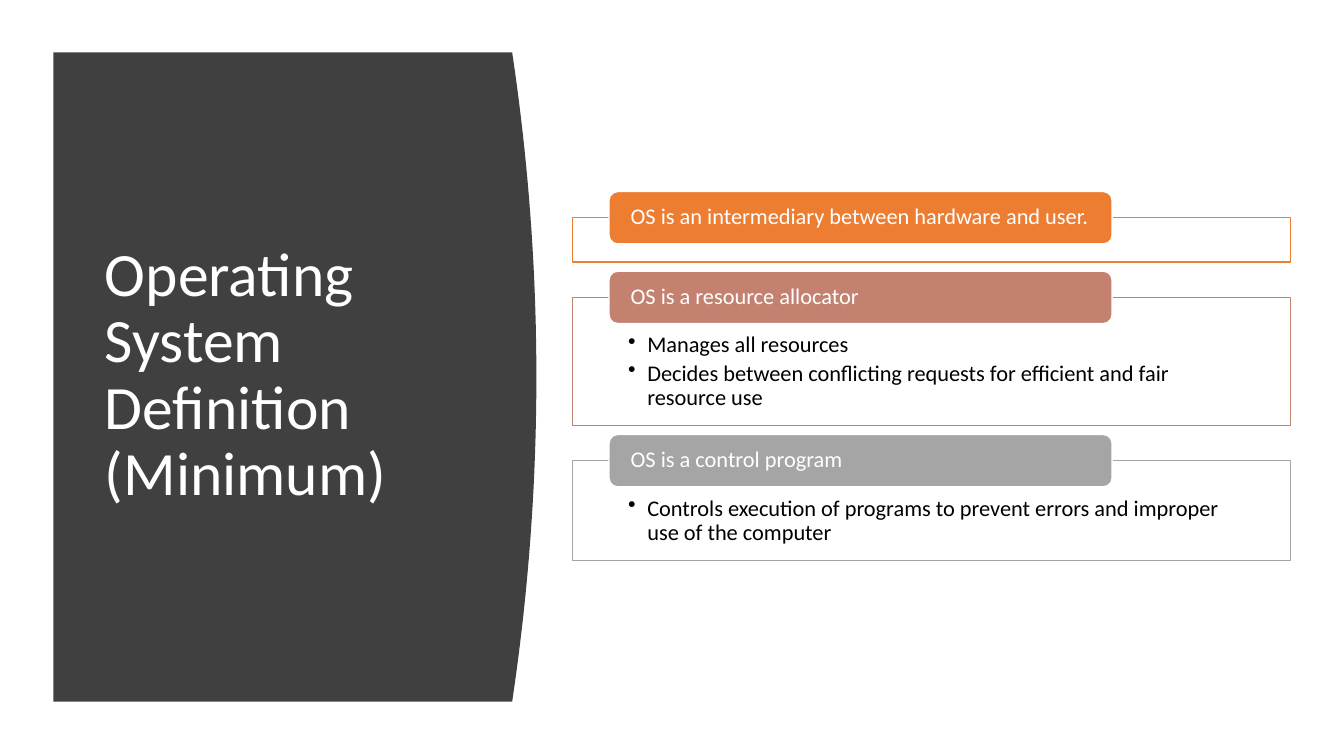
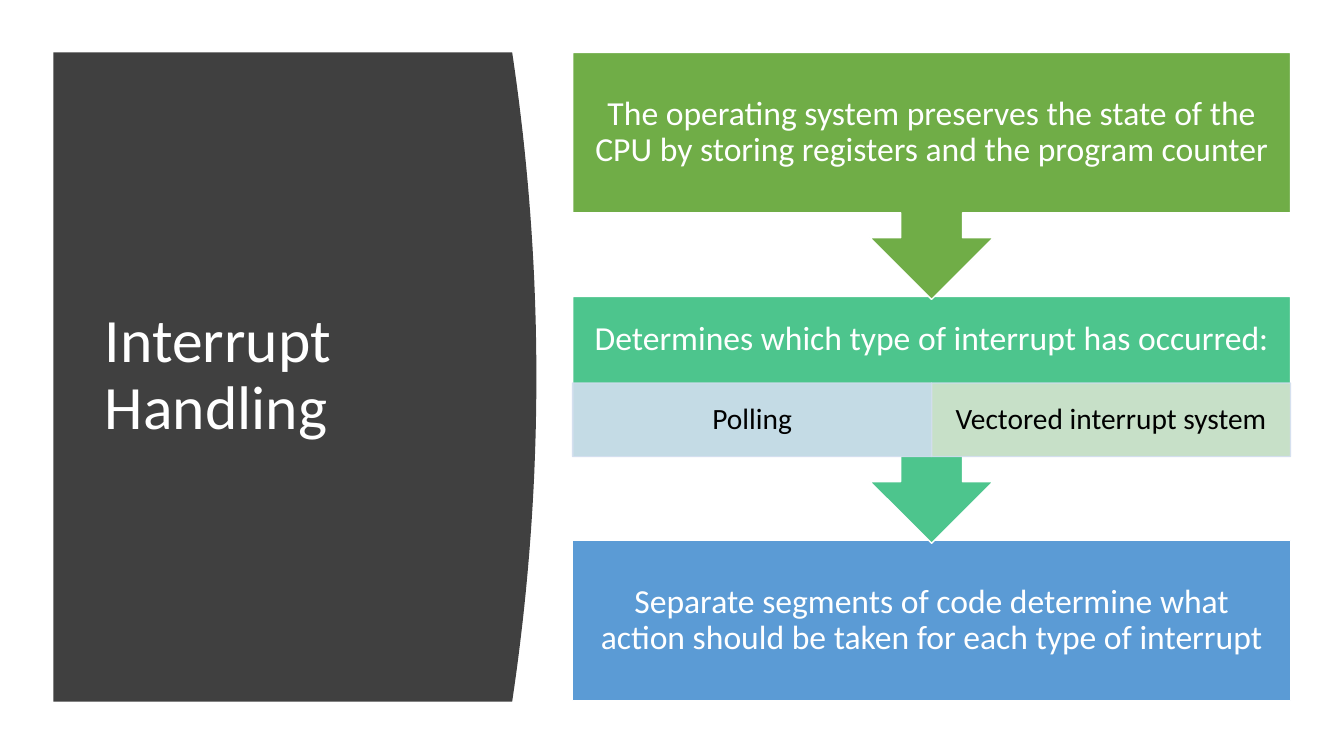
"""Build two operating system slides with a curved title band."""
from lxml.etree import SubElement
from pptx import Presentation
from pptx.dml.color import RGBColor
from pptx.enum.shapes import MSO_SHAPE
from pptx.enum.text import MSO_ANCHOR, MSO_AUTO_SIZE, PP_ALIGN
from pptx.oxml.ns import qn
from pptx.util import Inches, Pt

FONT = "Calibri"
HEX = {
    "white": "FFFFFF", "black": "000000", "band": "404040",
    "orange": "ED7D31", "rose": "C48170", "gray": "A5A5A5",
    "green": "70AD47", "mint": "4DC58D", "blue": "5B9BD5",
    "ice": "D2DEEF", "sage": "D5E3CF",
}
COLOR = {name: RGBColor.from_string(code) for name, code in HEX.items()}
TOP, TALL = 0.52, 6.44
LEFT, WIDE = 5.68, 7.12

deck = Presentation()
deck.slide_width, deck.slide_height = Inches(13.33), Inches(7.5)


def start(text):
    """Add a slide with the curved band and its title."""
    slide = deck.slides.add_slide(deck.slide_layouts[5])
    steps = 40
    curve = []
    for i in range(steps + 1):
        t = 2 * i / steps - 1
        curve.append((Inches(5.32 - 0.24 * t * t), Inches(TOP + TALL * i / steps)))
    pen = slide.shapes.build_freeform(Inches(0.53), Inches(TOP))
    pen.add_line_segments(curve + [(Inches(0.53), Inches(TOP + TALL))])
    band = pen.convert_to_shape()
    band.shadow.inherit = False
    band.fill.solid()
    band.fill.fore_color.rgb = COLOR["band"]
    band.line.fill.background()

    title = slide.shapes.title
    title._element.addprevious(band._element)
    title.left, title.top = Inches(0.94), Inches(1.11)
    title.width, title.height = Inches(3.74), Inches(5.24)
    frame = title.text_frame
    frame.word_wrap, frame.auto_size = True, MSO_AUTO_SIZE.NONE
    frame.vertical_anchor = MSO_ANCHOR.MIDDLE
    para = frame.paragraphs[0]
    para.alignment, para.line_spacing = PP_ALIGN.LEFT, 0.9
    run = para.add_run()
    run.text = text
    run.font.name, run.font.size = FONT, Pt(44)
    run.font.color.rgb = COLOR["white"]
    return slide


def box(slide, kind, place, fill, line, texts, size, pad,
        ink="white", align=PP_ALIGN.CENTER, anchor=MSO_ANCHOR.MIDDLE):
    """Add a filled shape with one paragraph for each text."""
    shape = slide.shapes.add_shape(kind, *[Inches(v) for v in place])
    shape.shadow.inherit = False
    shape.fill.solid()
    shape.fill.fore_color.rgb = COLOR[fill]
    shape.line.color.rgb = COLOR[line]
    shape.line.width = Pt(1)
    frame = shape.text_frame
    frame.word_wrap, frame.vertical_anchor = True, anchor
    (frame.margin_left, frame.margin_top,
     frame.margin_right, frame.margin_bottom) = [Inches(v) for v in pad]
    for i, text in enumerate(texts):
        para = frame.add_paragraph() if i else frame.paragraphs[0]
        para.alignment, para.line_spacing = align, 0.9
        run = para.add_run()
        run.text = text
        run.font.name, run.font.size = FONT, Pt(size)
        run.font.color.rgb = COLOR[ink]
    return shape


slide = start("Operating System Definition (Minimum)")
panels = [
    ("OS is an intermediary between hardware and user.", "orange", 0.44, []),
    ("OS is a resource allocator", "rose", 1.27, [
        "Manages all resources",
        "Decides between conflicting requests for efficient and fair resource use"]),
    ("OS is a control program", "gray", 0.99, [
        "Controls execution of programs to prevent errors and improper use of the computer"]),
]
top = 2.16
for head, tint, tall, points in panels:
    panel = box(slide, MSO_SHAPE.RECTANGLE, (LEFT, top, WIDE, tall), "white", tint,
                points, 16, (0.55, 0.36, 0.55, 0.12), "black",
                PP_ALIGN.LEFT, MSO_ANCHOR.TOP)
    if points:
        for para in panel.text_frame.paragraphs:
            para.space_after = Pt(3)
            props = para._p.get_or_add_pPr()
            props.set("marL", str(Inches(0.19)))
            props.set("indent", str(-Inches(0.19)))
            SubElement(props, qn("a:buChar")).set("char", "•")
    box(slide, MSO_SHAPE.ROUNDED_RECTANGLE, (LEFT + 0.36, top - 0.26, 4.99, 0.52),
        tint, "white", [head], 16, (0.19, 0, 0.19, 0), align=PP_ALIGN.LEFT)
    top += tall + 0.35

slide = start("Interrupt Handling")
step, half = 2.42, WIDE / 2
arrow = MSO_SHAPE.DOWN_ARROW_CALLOUT
stages = [
    (2, MSO_SHAPE.RECTANGLE, 1.59, "blue", 0.19,
     "Separate segments of code determine what action should be taken for each type of interrupt"),
    (1, arrow, 2.45, "mint", 0.92, "Determines which type of interrupt has occurred:"),
    (0, arrow, 2.45, "green", 0.19,
     "The operating system preserves the state of the CPU by storing registers and the program counter"),
]
for row, kind, tall, tint, foot, text in stages:
    box(slide, kind, (LEFT, TOP + row * step, WIDE, tall), tint, "white",
        [text], 24, (0.19, 0.19, 0.19, foot))

for i, (text, tint) in enumerate([("Polling", "ice"), ("Vectored interrupt system", "sage")]):
    cell = box(slide, MSO_SHAPE.RECTANGLE, (LEFT + i * half, 3.8, half, 0.73), tint, "ice",
               [text], 21, (0.16, 0.03, 0.16, 0.03), "black")
    for tone in cell._element.spPr.iter(qn("a:srgbClr")):
        SubElement(tone, qn("a:alpha")).set("val", "90000")

deck.save("out.pptx")
